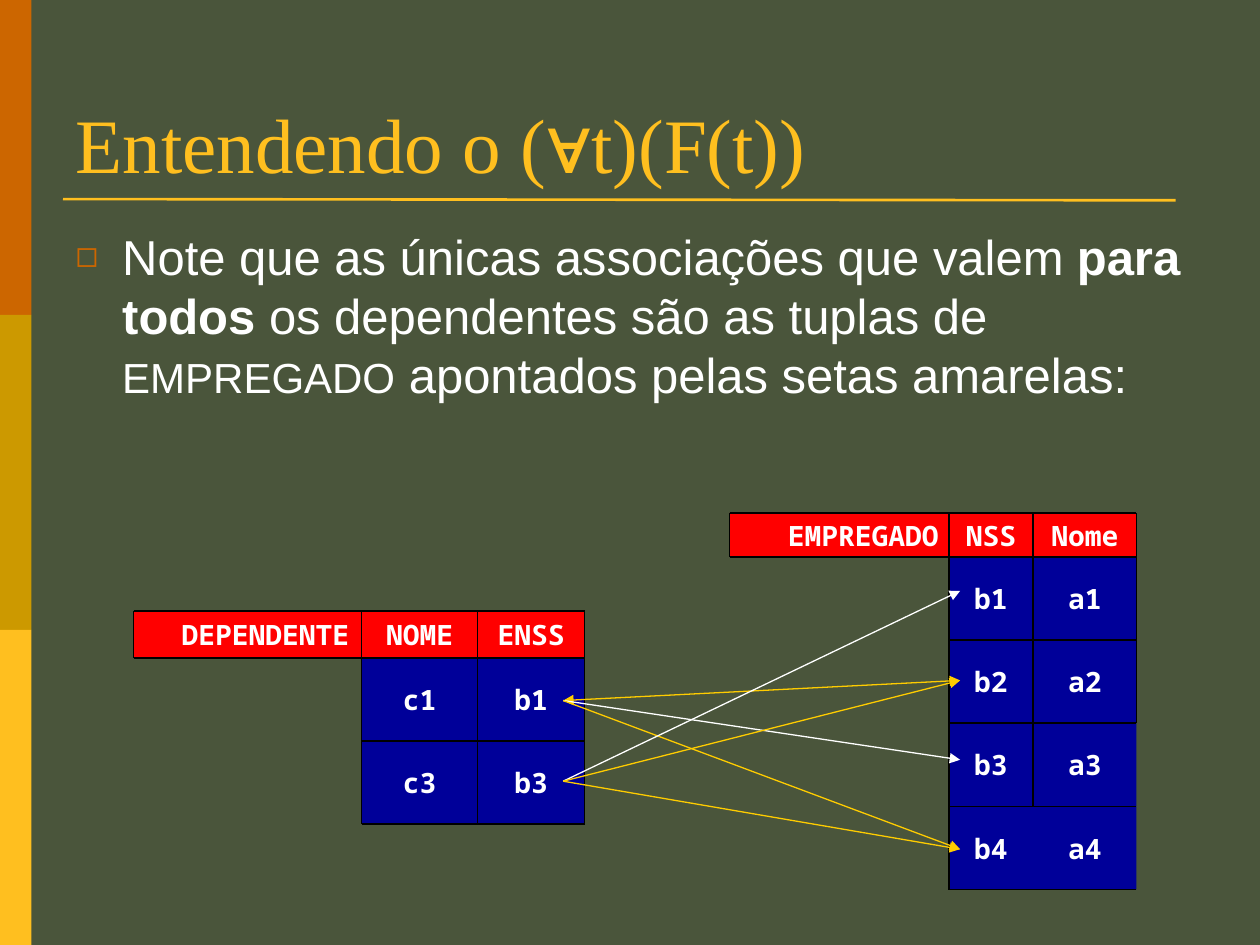
from dataclasses import dataclass
from itertools import accumulate

import lxml.etree
import pptx
import pptx.dml.color
import pptx.enum.shapes
import pptx.enum.text
import pptx.oxml.ns
import pptx.util
from pptx.util import Inches

qn = pptx.oxml.ns.qn
Align = pptx.enum.text.PP_ALIGN
Anchor = pptx.enum.text.MSO_ANCHOR


@dataclass(frozen=True)
class Theme:
    background: str = "4A553B"
    gold: str = "FFBF1F"
    olive: str = "CC9900"
    orange: str = "CC6600"
    arrow: str = "FFCC00"
    white: str = "FFFFFF"
    black: str = "000000"
    header: str = "FF0000"
    data: str = "000099"
    title_font: str = "Times New Roman"
    body_font: str = "Arial"
    table_font: str = "Noto Sans Mono"
    title_size: int = 44
    body_size: int = 28
    small_size: int = 24
    table_size: int = 16


@dataclass(frozen=True)
class Relation:
    left: float
    top: float
    header_height: float
    row_height: float
    margin: float
    widths: tuple[float, ...]
    rows: tuple[tuple[str, ...], ...]
    rows_per_vertical_rule: tuple[int, ...]


@dataclass(frozen=True)
class Arrow:
    dependent: str
    employee: str
    color: str
    both_ends: bool = False


THEME = Theme()

EMPLOYEE = Relation(
    5.79, 4.07, 0.35, 0.66, 0.08, (1.74, 0.67, 0.82),
    (("EMPREGADO", "NSS", "Nome"), ("", "b1", "a1"), ("", "b2", "a2"),
     ("", "b3", "a3"), ("", "b4", "a4")),
    (1, 5, 4, 3),
)
DEPENDENT = Relation(
    1.06, 4.85, 0.37, 0.66, 0.1, (1.81, 0.92, 0.85),
    (("DEPENDENTE", "NOME", "ENSS"), ("", "c1", "b1"), ("", "c3", "b3")),
    (1, 3, 3, 3),
)

ARROW_START, ARROW_END = 4.47, 7.62
DEPENDENT_HEIGHTS = {"b1": 5.56, "b3": 6.2}
EMPLOYEE_HEIGHTS = {"b1": 4.69, "b2": 5.4, "b3": 6.03, "b4": 6.74}
ARROWS = (
    Arrow("b1", "b2", THEME.arrow, both_ends=True),
    Arrow("b1", "b3", THEME.white),
    Arrow("b1", "b4", THEME.arrow),
    Arrow("b3", "b1", THEME.white),
    Arrow("b3", "b2", THEME.arrow),
    Arrow("b3", "b4", THEME.arrow),
)


def rgb(color: str) -> pptx.dml.color.RGBColor:
    return pptx.dml.color.RGBColor.from_string(color)


def style_font(font, name: str, size: int, color: str, bold: bool = False) -> None:
    font.name = name
    font.size = pptx.util.Pt(size)
    font.color.rgb = rgb(color)
    font.bold = bold


def place(shape, left: float, top: float, width: float, height: float) -> None:
    shape.left, shape.top = Inches(left), Inches(top)
    shape.width, shape.height = Inches(width), Inches(height)


def add_rectangle(shapes, left: float, top: float, width: float, height: float, color: str):
    rectangle = shapes.add_shape(
        pptx.enum.shapes.MSO_SHAPE.RECTANGLE, *map(Inches, (left, top, width, height)))
    rectangle.shadow.inherit = False
    rectangle.fill.solid()
    rectangle.fill.fore_color.rgb = rgb(color)
    rectangle.line.fill.background()
    return rectangle


def add_line(shapes, start: tuple[float, float], end: tuple[float, float],
             color: str, width: float, arrowheads: tuple[str, ...] = ()) -> None:
    connector = shapes.add_connector(
        pptx.enum.shapes.MSO_CONNECTOR.STRAIGHT, *map(Inches, start + end))
    connector.line.color.rgb = rgb(color)
    connector.line.width = pptx.util.Pt(width)
    properties = connector.element.spPr
    for arrowhead in arrowheads:
        lxml.etree.SubElement(properties.find(qn("a:ln")), qn(arrowhead), type="triangle")
    lxml.etree.SubElement(properties, qn("a:effectLst"))


def write_cell(cell, text: str, margin: float, alignment: Align) -> None:
    frame = cell.text_frame
    frame.word_wrap = True
    frame.margin_left = frame.margin_right = Inches(margin)
    frame.margin_top = frame.margin_bottom = Inches(margin / 2)
    frame.vertical_anchor = Anchor.MIDDLE
    frame.text = text
    paragraph = frame.paragraphs[0]
    paragraph.alignment = alignment
    style_font(paragraph.runs[0].font, THEME.table_font, THEME.table_size, THEME.white, True)


def add_relation(slide, relation: Relation) -> None:
    shapes = slide.shapes.add_group_shape().shapes
    heights = [relation.header_height] + [relation.row_height] * (len(relation.rows) - 1)
    x_edges = list(accumulate(relation.widths, initial=relation.left))
    y_edges = list(accumulate(heights, initial=relation.top))
    for row, texts in enumerate(relation.rows):
        for column, text in enumerate(texts):
            if text:
                cell = add_rectangle(
                    shapes, x_edges[column], y_edges[row], relation.widths[column],
                    heights[row], THEME.data if row else THEME.header)
                write_cell(cell, text, relation.margin, Align.CENTER if column else Align.RIGHT)
    for index, y in enumerate(y_edges):
        start = x_edges[0] if index <= 1 else x_edges[1]
        add_line(shapes, (start, y), (x_edges[-1], y), THEME.black, 1)
    for x, row_count in zip(x_edges, relation.rows_per_vertical_rule):
        add_line(shapes, (x, y_edges[0]), (x, y_edges[row_count]), THEME.black, 1)


def write_title(title) -> None:
    place(title, 0.5, 0.3, 9, 1.25)
    title.text_frame.text = "Entendendo o (∀t)(F(t))"
    title.text_frame.auto_size = pptx.enum.text.MSO_AUTO_SIZE.NONE
    title.text_frame.vertical_anchor = Anchor.BOTTOM
    paragraph = title.text_frame.paragraphs[0]
    paragraph.alignment = Align.LEFT
    style_font(paragraph.runs[0].font, THEME.title_font, THEME.title_size, THEME.gold)


def write_body(body) -> None:
    place(body, 0.5, 1.75, 9, 4.95)
    body.text_frame.auto_size = pptx.enum.text.MSO_AUTO_SIZE.NONE
    paragraph = body.text_frame.paragraphs[0]
    paragraph.space_before = pptx.util.Pt(0)
    properties = paragraph._p.get_or_add_pPr()
    properties.set("marL", str(Inches(0.37)))
    properties.set("indent", str(Inches(-0.37)))
    bullet_color = lxml.etree.SubElement(properties, qn("a:buClr"))
    lxml.etree.SubElement(bullet_color, qn("a:srgbClr"), val=THEME.orange)
    lxml.etree.SubElement(properties, qn("a:buSzPct"), val="75000")
    lxml.etree.SubElement(properties, qn("a:buChar"), char="◻")
    for text, size, bold in (
        ("Note que as únicas associações que valem ", THEME.body_size, False),
        ("para todos ", THEME.body_size, True),
        ("os dependentes são as tuplas de ", THEME.body_size, False),
        ("EMPREGADO", THEME.small_size, False),
        (" apontados pelas setas amarelas:", THEME.body_size, False),
    ):
        run = paragraph.add_run()
        run.text = text
        style_font(run.font, THEME.body_font, size, THEME.white, bold)


def main() -> None:
    presentation = pptx.Presentation()
    presentation.slide_width, presentation.slide_height = Inches(10), Inches(7.5)
    slide = presentation.slides.add_slide(presentation.slide_layouts[1])
    slide.background.fill.solid()
    slide.background.fill.fore_color.rgb = rgb(THEME.background)
    for index, color in enumerate((THEME.orange, THEME.olive, THEME.gold)):
        add_rectangle(slide.shapes, 0, 2.5 * index, 0.25, 2.5, color)
    add_line(slide.shapes, (0.5, 1.58), (9.33, 1.59), THEME.gold, 1.5)
    write_title(slide.shapes.title)
    write_body(slide.placeholders[1])
    for relation in (EMPLOYEE, DEPENDENT):
        add_relation(slide, relation)
    for arrow in ARROWS:
        add_line(slide.shapes, (ARROW_START, DEPENDENT_HEIGHTS[arrow.dependent]),
                 (ARROW_END, EMPLOYEE_HEIGHTS[arrow.employee]), arrow.color, 0.75,
                 ("a:headEnd", "a:tailEnd") if arrow.both_ends else ("a:tailEnd",))
    presentation.save("out.pptx")


if __name__ == "__main__":
    main()
